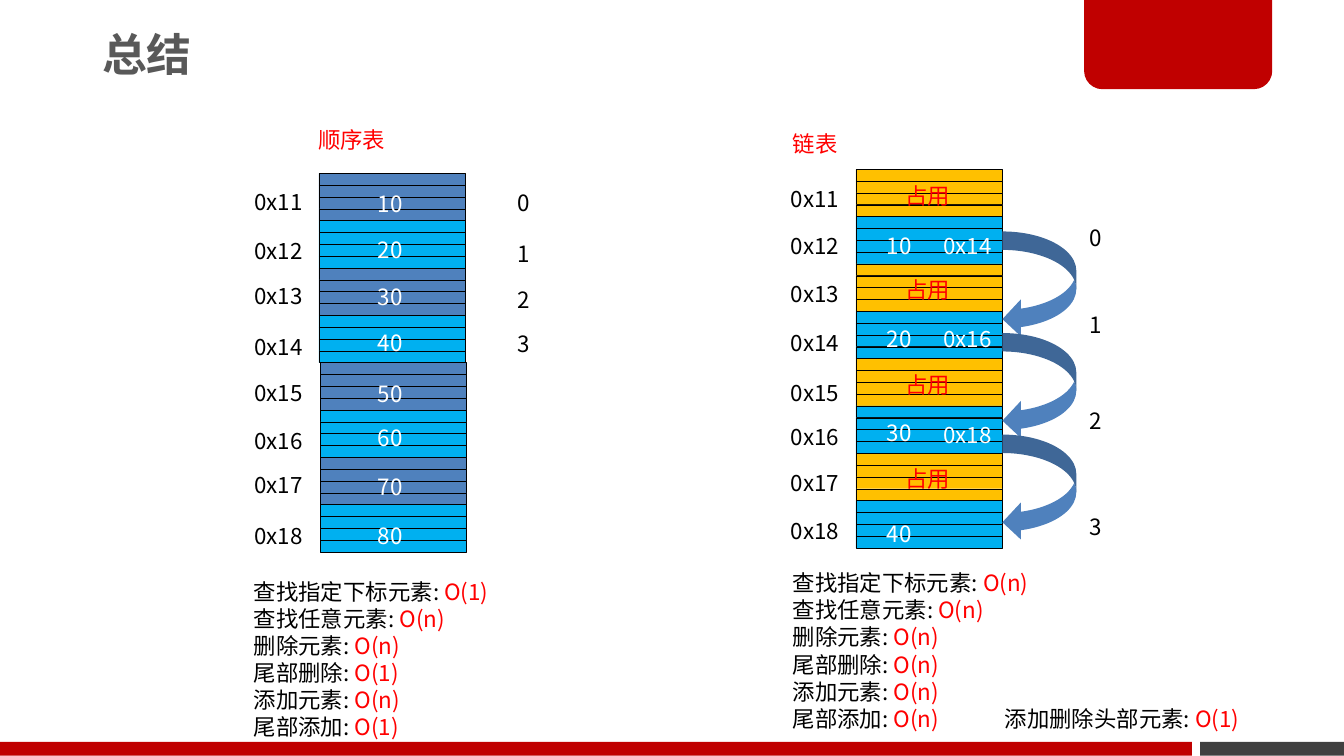
from pptx import Presentation
from pptx.dml.color import RGBColor
from pptx.enum.shapes import MSO_SHAPE as SHAPE
from pptx.enum.text import MSO_ANCHOR as ANCHOR
from pptx.oxml.ns import qn
from pptx.util import Pt
from lxml.etree import SubElement

FONT = "Noto Sans CJK SC"
COLORS = {
    "brand": "C00000", "dark": "404040", "title": "595959",
    "sky": "00B0F0", "blue": "4F81BD", "amber": "FFC000",
    "red": "FF0000", "black": "000000", "white": "FFFFFF",
}
STRIPS = 4
STRIP_H = 6.34
CELL_H = STRIPS * STRIP_H
CELL_W = 78.5
LABEL_H = 21.6
ADDRESSES = [f"0x{n}" for n in range(11, 19)]
INDEXES = ["0", "1", "2", "3"]
OPERATIONS = ["查找指定下标元素", "查找任意元素", "删除元素",
              "尾部删除", "添加元素", "尾部添加"]


def rgb(name):
    return RGBColor.from_string(COLORS[name])


def add_block(s, kind, x, y, w, h, fill, line=None):
    sp = s.shapes.add_shape(kind, Pt(x), Pt(y), Pt(w), Pt(h))
    sp.shadow.inherit = False
    sp.fill.solid()
    sp.fill.fore_color.rgb = rgb(fill)
    if line:
        sp.line.color.rgb = rgb(line)
        sp.line.width = Pt(0.25)
    else:
        sp.line.fill.background()
    return sp


def add_run(p, text, size, color, bold):
    r = p.add_run()
    r.text = text
    r.font.size = Pt(size)
    r.font.bold = bold
    r.font.color.rgb = rgb(color)
    r.font.name = FONT
    SubElement(r.font._element, qn("a:ea"), typeface=FONT)


def add_text(s, paragraphs, x, y, w, h=LABEL_H, size=12, color="black", bold=False,
             anchor=ANCHOR.TOP, spacing=Pt(14.5), insets=(7.2, 4.8), wrap=False, tab=None):
    tf = s.shapes.add_textbox(Pt(x), Pt(y), Pt(w), Pt(h)).text_frame
    tf.word_wrap = wrap
    tf.vertical_anchor = anchor
    tf.margin_left = tf.margin_right = Pt(insets[0])
    tf.margin_top, tf.margin_bottom = Pt(insets[1]), Pt(2.4)
    if isinstance(paragraphs, str):
        paragraphs = [[(paragraphs, color)]]
    for i, runs in enumerate(paragraphs):
        p = tf.paragraphs[0] if i == 0 else tf.add_paragraph()
        p.line_spacing = spacing
        if tab:
            tabs = SubElement(p._p.get_or_add_pPr(), qn("a:tabLst"))
            SubElement(tabs, qn("a:tab"), pos=str(Pt(tab)), algn="l")
        for text, run_color in runs:
            add_run(p, text, size, run_color, bold)


def add_labels(s, texts, x, tops, w, color="black"):
    for text, top in zip(texts, tops):
        add_text(s, text, x, top, w, color=color)


def add_cells(s, x, y, count, fills):
    for i in range(count * STRIPS):
        add_block(s, SHAPE.RECTANGLE, x, y + i * STRIP_H, CELL_W, STRIP_H,
                  fills[i // STRIPS % 2], "black")


def cost_lines(costs):
    return [[(f"{name}: ", "black"), (f"O({cost})", "red")]
            for name, cost in zip(OPERATIONS, costs)]


def add_frame(s):
    add_block(s, SHAPE.RECTANGLE, 643, 397.4, 77, 7.4, "dark")
    tag = add_block(s, SHAPE.ROUND_2_SAME_RECTANGLE, 580.8, -1.4, 100.8, 49.2, "brand")
    tag.adjustments[0], tag.adjustments[1] = 0, 0.2
    add_block(s, SHAPE.RECTANGLE, 0, 397.4, 638.6, 7.4, "brand")
    add_text(s, "总结", 49.7, -1.4, 310.3, 64, size=24, color="title", bold=True,
             anchor=ANCHOR.MIDDLE, spacing=0.9, insets=(5, 2.4), wrap=True)


def add_sequential_list(s):
    add_text(s, "顺序表", 163.4, 62.6, 51.1, color="red")
    add_cells(s, 170.8, 92.9, 4, ("blue", "sky"))
    add_cells(s, 171.5, 92.9 + 4 * CELL_H, 4, ("blue", "sky"))
    add_labels(s, ADDRESSES, 129.2,
               [95.8, 122.4, 146.2, 173.5, 198, 223.9, 247.7, 275], 41.8)
    add_labels(s, [str(n) for n in range(10, 90, 10)], 195.4,
               [97.2, 121.7, 146.9, 171.4, 198.7, 222.5, 248.4, 275], 28.8, "white")
    add_labels(s, INDEXES, 270, [96.5, 123.8, 148.3, 172.1], 21.6)
    add_text(s, cost_lines("1nn1n1"), 128.9, 304.6, 149.8, 108.7)


def add_linked_list(s):
    add_text(s, "链表", 417.6, 64.8, 38.9, color="red")
    add_cells(s, 458.5, 90.7, 8, ("amber", "sky"))
    add_labels(s, ADDRESSES, 416.6,
               [94.3, 119.5, 145.4, 171.4, 198, 221.8, 246.2, 272.2], 41.8)
    add_labels(s, ["10", "20", "30", "40"], 468, [119.5, 169.2, 219.6, 273.6], 28.8, "white")
    add_labels(s, ["占用"] * 4, 478, [92.9 + 50.4 * i for i in range(4)], 38.9, "red")
    for i in range(3):
        add_block(s, SHAPE.CURVED_LEFT_ARROW, 537, 124 + 54.4 * i, 39.6, 56.9, "blue")
    add_labels(s, ["0x14", "0x16", "0x18"], 498.3, [119.5, 169.2, 221], 41.8, "white")
    add_labels(s, INDEXES, 576.7, [115.2, 162, 213.1, 270], 21.6)
    costs = cost_lines("nnnnnn")
    costs[-1] += [("\t添加删除头部元素: ", "black"), ("O(1)", "red")]
    add_text(s, costs, 417.6, 300.2, 262.1, 94.3, wrap=True, tab=113.6)


def main():
    prs = Presentation()
    prs.slide_width, prs.slide_height = Pt(720), Pt(405)
    s = prs.slides.add_slide(prs.slide_layouts[6])
    add_frame(s)
    add_sequential_list(s)
    add_linked_list(s)
    prs.save("out.pptx")


if __name__ == "__main__":
    main()
